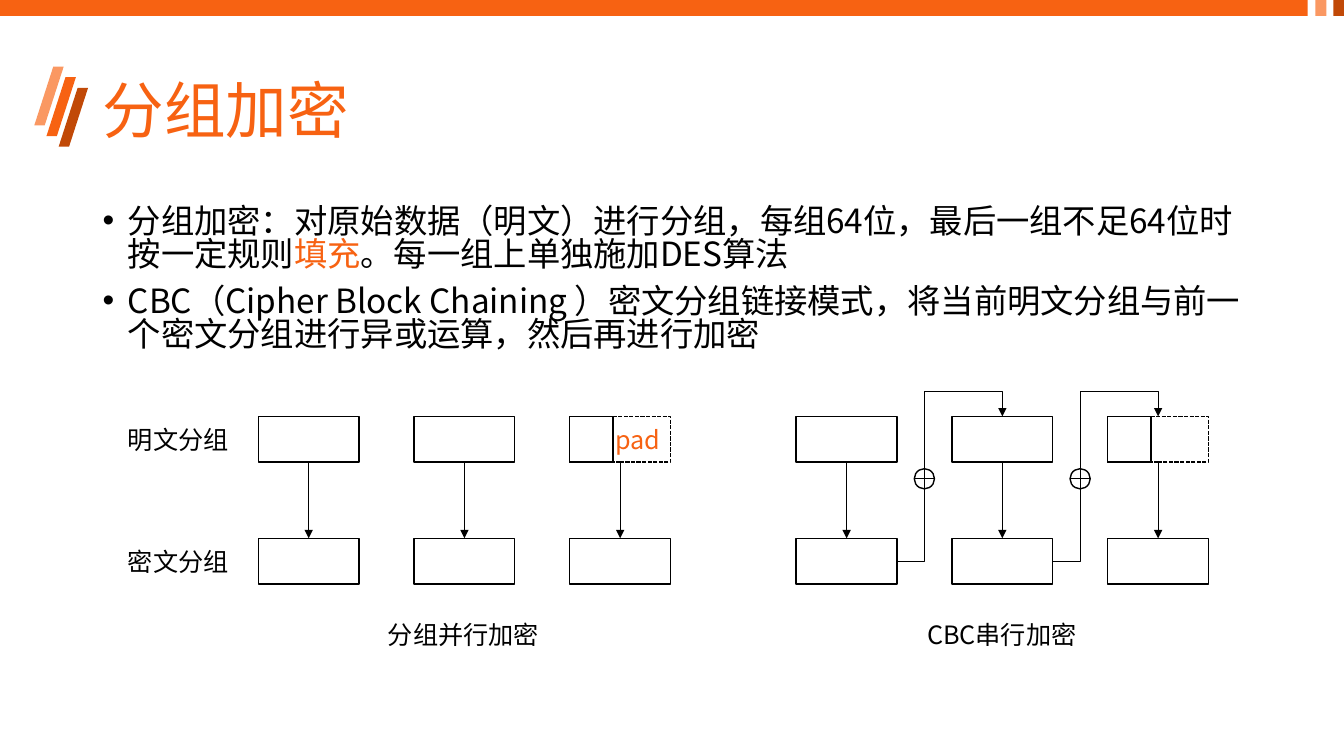
from lxml.etree import SubElement
from pptx import Presentation
from pptx.dml.color import RGBColor
from pptx.enum.dml import MSO_LINE
from pptx.enum.shapes import MSO_CONNECTOR, MSO_SHAPE
from pptx.enum.text import MSO_ANCHOR, PP_ALIGN
from pptx.oxml.ns import qn
from pptx.util import Pt

FONT = "Noto Sans CJK SC"
HUES = {"main": "F76212", "light": "FA9862", "dark": "C14907",
        "ink": "000000", "paper": "FFFFFF"}
WIDE, HIGH = 72, 32.6    # one cipher block
STEP, DROP = 111.25, 87  # pitch of blocks across and down
PART = 31                # filled part of the last block
RING = 14.4              # XOR sign


def hue(name):
    return RGBColor.from_string(HUES[name])


def add_shape(slide, kind, x, y, w, h, fill="paper", line=None):
    shape = slide.shapes.add_shape(kind, Pt(x), Pt(y), Pt(w), Pt(h))
    shape.shadow.inherit = False
    shape.fill.solid()
    shape.fill.fore_color.rgb = hue(fill)
    if line:
        shape.line.color.rgb = hue(line)
        shape.line.width = Pt(1)
    else:
        shape.line.fill.background()
    return shape


def add_block(slide, x, y, w=WIDE):
    return add_shape(slide, MSO_SHAPE.RECTANGLE, x, y, w, HIGH, line="ink")


def add_line(slide, x1, y1, x2, y2, kind=MSO_CONNECTOR.STRAIGHT, head=True):
    link = slide.shapes.add_connector(kind, Pt(x1), Pt(y1), Pt(x2), Pt(y2))
    link.line.color.rgb = hue("ink")
    link.line.width = Pt(0.5)
    if head:
        SubElement(link.line._get_or_add_ln(), qn("a:tailEnd"), type="triangle")
    SubElement(link._element.spPr, qn("a:effectLst"))
    return link


def set_font(para, size, color="ink"):
    """Style a paragraph for Latin and East Asian text alike."""
    font = para.font
    font.size = Pt(size)
    font.color.rgb = hue(color)
    font.name = FONT
    SubElement(para._p.pPr.find(qn("a:defRPr")), qn("a:ea"), typeface=FONT)


def add_text(slide, x, y, w, h, text, size=18, color="ink"):
    frame = slide.shapes.add_textbox(Pt(x), Pt(y), Pt(w), Pt(h)).text_frame
    frame.word_wrap = True
    para = frame.paragraphs[0]
    para.text = text
    set_font(para, size, color)
    return frame


def draw_trim(slide, wide):
    """Draw the bar along the top edge and the slanted stripes."""
    for x, w, fill in ((0, 934, "main"), (wide - 20.4, 7.8, "light"),
                       (wide - 7.6, 7.6, "dark")):
        add_shape(slide, MSO_SHAPE.RECTANGLE, x, 0, w, 11.4, fill)
    for i, fill in enumerate(("light", "main", "dark")):
        stripe = add_shape(slide, MSO_SHAPE.PARALLELOGRAM,
                           24.5 + 8.7 * i, 47.6 + 7.6 * i, 21, 42, fill)
        stripe.adjustments[0] = 0.646


def draw_title(slide, x, y, w, h):
    frame = add_text(slide, x, y, w, h, "分组加密", 44, "main")
    frame.vertical_anchor = MSO_ANCHOR.MIDDLE
    frame.paragraphs[0].line_spacing = 0.9


def draw_body(slide, x, y, w, h):
    points = (
        (("分组加密：对原始数据（明文）进行分组，每组64位，最后一组不足64位时按一定规则", None),
         ("填充", "main"), ("。每一组上单独施加DES算法", None)),
        (("CBC（Cipher Block Chaining ）密文分组链接模式，"
          "将当前明文分组与前一个密文分组进行异或运算，然后再进行加密", None),),
    )
    frame = slide.shapes.add_textbox(Pt(x), Pt(y), Pt(w), Pt(h)).text_frame
    frame.word_wrap = True
    for i, runs in enumerate(points):
        para = frame.add_paragraph() if i else frame.paragraphs[0]
        para.line_spacing = 0.83
        if i:
            para.space_before = Pt(10)
        props = para._p.get_or_add_pPr()
        props.set("marL", str(Pt(18)))
        props.set("indent", str(-Pt(18)))
        SubElement(props, qn("a:buFont"), typeface="Arial")
        SubElement(props, qn("a:buChar"), char="•")
        set_font(para, 23.8)
        for text, color in runs:
            run = para.add_run()
            run.text = text
            if color:
                run.font.color.rgb = hue(color)


def draw_mode(slide, x, y):
    """Draw three plain blocks, each leading to its cipher block."""
    for i in range(3):
        left = x + i * STEP
        block = add_block(slide, left, y)
        add_block(slide, left, y + DROP)
        add_line(slide, left + WIDE / 2, y + HIGH, left + WIDE / 2, y + DROP)
    block.line.dash_style = MSO_LINE.SQUARE_DOT
    add_block(slide, left, y, PART)
    return block


def draw_chain(slide, x, y):
    """Feed each cipher block through XOR into the next plain block."""
    span = STEP - WIDE / 2
    for i in range(2):
        start = x + WIDE + i * STEP
        mid, level = start + 0.26 * span, y + 44.5
        add_shape(slide, MSO_SHAPE.OVAL, mid - RING / 2, level - RING / 2,
                  RING, RING, line="ink")
        add_line(slide, mid - RING / 2, level, mid + RING / 2, level, head=False)
        bend = add_line(slide, start, y + DROP + HIGH / 2, start + span, y,
                        MSO_CONNECTOR.ELBOW)
        shape = bend._element.spPr.find(qn("a:prstGeom"))
        shape.set("prst", "bentConnector4")
        guides = shape.find(qn("a:avLst"))
        for name, value in (("adj1", 26000), ("adj2", 117400)):
            SubElement(guides, qn("a:gd"), name=name, fmla=f"val {value}")


def draw_modes(slide, x, y):
    """Draw the parallel and the chained mode with their labels."""
    plain, chain = x + 100.25, x + 484.5
    for i, text in enumerate(("明文分组", "密文分组")):
        add_text(slide, x, y + 1.9 + i * DROP, 87.5, 29, text)
    last = draw_mode(slide, plain, y)
    last.text_frame.vertical_anchor = MSO_ANCHOR.MIDDLE
    para = last.text_frame.paragraphs[0]
    para.text = "pad"
    para.alignment = PP_ALIGN.RIGHT
    set_font(para, 18, "main")
    draw_mode(slide, chain, y)
    draw_chain(slide, chain, y)
    add_text(slide, plain + 85.5, y + 141, 124, 29, "分组并行加密")
    add_text(slide, chain + 86.4, y + 141, 122.4, 29, "CBC串行加密")


def main():
    deck = Presentation()
    deck.slide_width, deck.slide_height = Pt(960), Pt(540)
    slide = deck.slides.add_slide(deck.slide_layouts[6])
    draw_trim(slide, 960)
    draw_title(slide, 66.25, 28.75, 828, 104.4)
    draw_body(slide, 66.25, 144, 828, 138)
    draw_modes(slide, 84.25, 297.5)
    deck.save("out.pptx")


if __name__ == "__main__":
    main()
